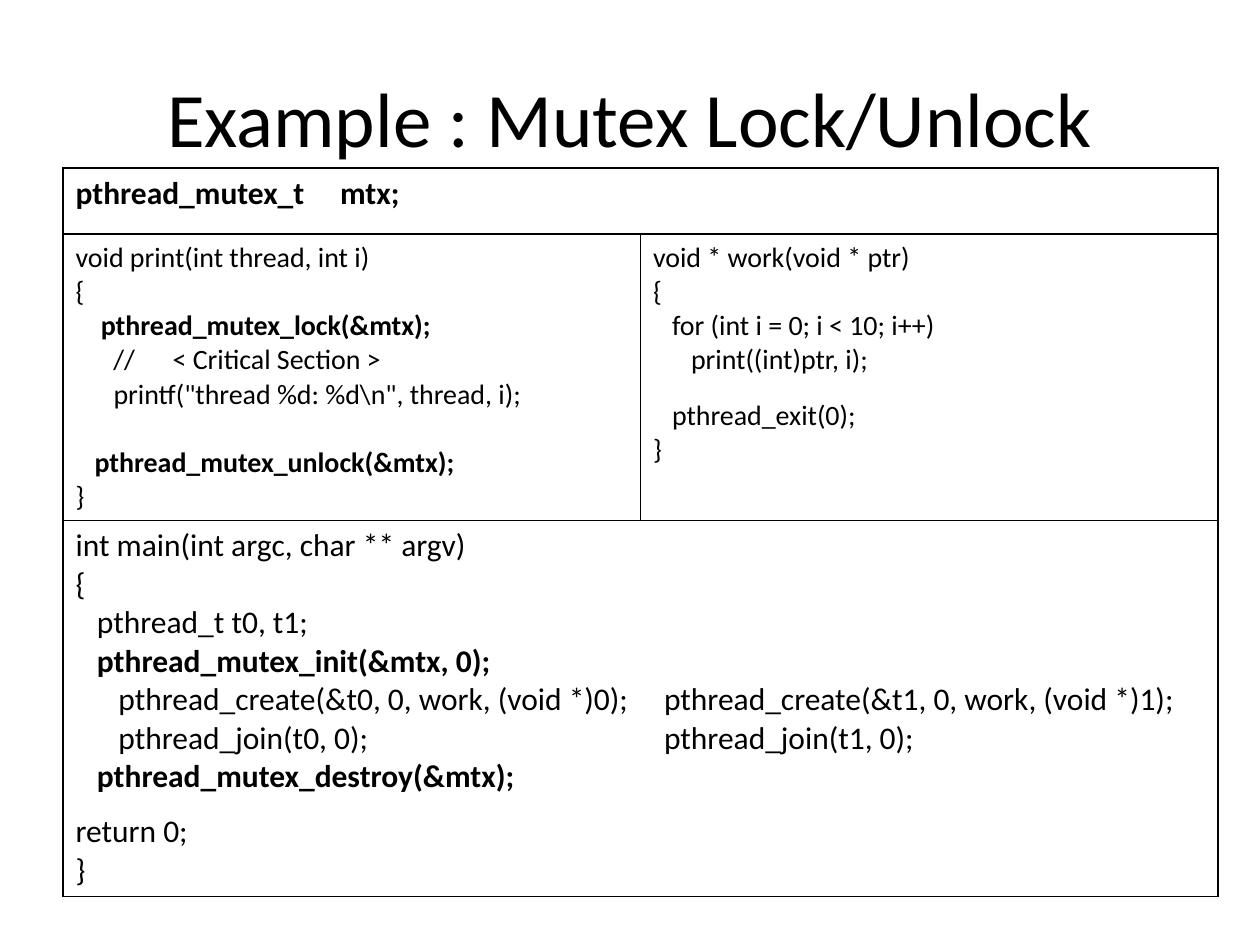
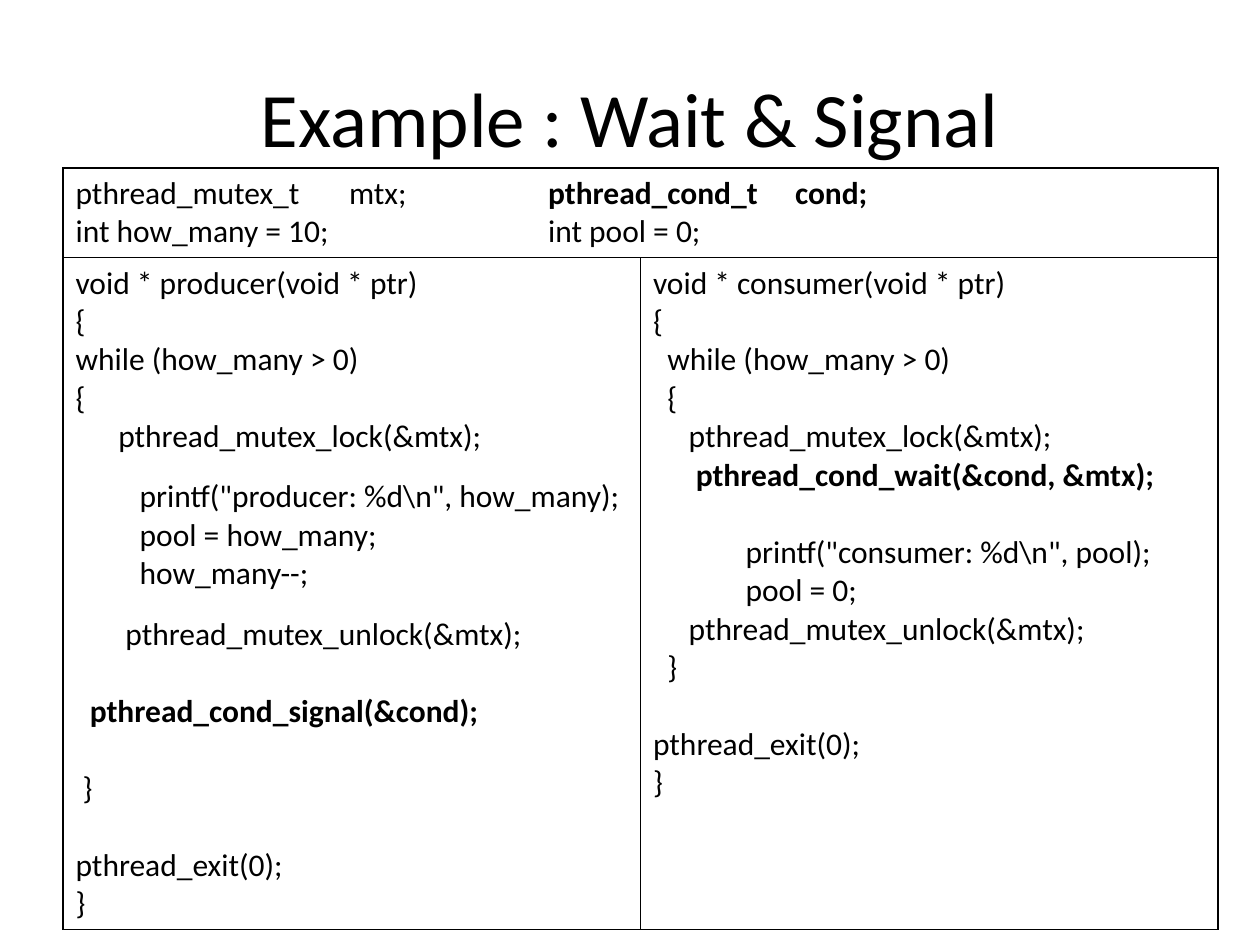
from dataclasses import dataclass

from lxml.etree import SubElement
from pptx import Presentation
from pptx.dml.color import RGBColor
from pptx.enum.text import MSO_ANCHOR, PP_ALIGN
from pptx.oxml.ns import qn
from pptx.util import Inches, Pt

W, H = Inches(10), Inches(7.5)
LEFT, TABLE_TOP, COL_W = W / 20, H * 8 / 45, W * 11 / 24
FONT = "Calibri"
COLORS = {"ink": "000000", "rule": "000000"}
SPACE_EM = 0.226  # width of a space in ems
LINE_EM = 1.22  # height of a line in ems


@dataclass
class Line:
    text: str
    indent: int = 0  # spaces
    bold: bool = False
    gap: float = 0  # size in points of the empty line above
    tabs: tuple[float, ...] = ()  # inches from the cell's text edge
    bold_tail: str = ""


@dataclass
class Code:
    lines: list[Line]
    size: float = 18
    wide: bool = False


@dataclass
class CodeSlide:
    title: str
    row_percents: list[float]  # of the slide's height
    rows: list[list[Code]]


def add_run(p, text: str, *, size: float, bold: bool = False, color: str = "ink") -> None:
    r = p.add_run()
    r.text = text
    r.font.name, r.font.size, r.font.bold = FONT, Pt(size), bold
    r.font.color.rgb = RGBColor.from_string(COLORS[color])


def add_title(s, text: str) -> None:
    sp = s.shapes.add_textbox(int(LEFT), int(0.04 * H), int(0.9 * W), int(H / 6))
    tf = sp.text_frame
    tf.word_wrap = True
    tf.vertical_anchor = MSO_ANCHOR.MIDDLE
    p = tf.paragraphs[0]
    p.alignment = PP_ALIGN.CENTER
    add_run(p, text, size=44)


def write_code(tf, code: Code) -> None:
    for i, line in enumerate(code.lines):
        p = tf.add_paragraph() if i else tf.paragraphs[0]
        p.space_before = Pt(line.gap * LINE_EM)
        pPr = p._p.get_or_add_pPr()
        # An explicit first-line indent makes LibreOffice drop the tab stops
        if line.tabs:
            stops = SubElement(pPr, qn("a:tabLst"))
            for pos in line.tabs:
                SubElement(stops, qn("a:tab"), pos=str(Inches(pos)), algn="l")
        else:
            pPr.set("marL", str(Pt(line.indent * SPACE_EM * code.size)))
            pPr.set("indent", "0")
        add_run(p, line.text, size=code.size, bold=line.bold)
        if line.bold_tail:
            add_run(p, line.bold_tail, size=code.size, bold=True)


def frame_cell(cell) -> None:
    tcPr = cell._tc.get_or_add_tcPr()
    for side in ("lnL", "lnR", "lnT", "lnB"):
        ln = SubElement(tcPr, qn(f"a:{side}"), w=str(Pt(1)))
        SubElement(SubElement(ln, qn("a:solidFill")), qn("a:srgbClr"), val=COLORS["rule"])
    cell.fill.background()


def add_code_table(s, data: CodeSlide) -> None:
    heights = [int(percent * H / 100) for percent in data.row_percents]
    frame = s.shapes.add_table(len(data.rows), 2, int(LEFT), int(TABLE_TOP),
                               int(2 * COL_W), sum(heights))
    table = frame.table
    table.first_row = table.horz_banding = False
    for col in table.columns:
        col.width = int(COL_W)
    for y, (height, codes) in enumerate(zip(heights, data.rows)):
        table.rows[y].height = height
        for x in range(2):
            frame_cell(table.cell(y, x))
        for x, code in enumerate(codes):
            if code.wide:
                table.cell(y, 0).merge(table.cell(y, 1))
            write_code(table.cell(y, x).text_frame, code)


# Tab stops of the paired calls in main()
PAIR = (0.34, 4.67)

SLIDES = [
    CodeSlide("Example : Mutex Lock/Unlock", [7, 30.3, 39.8], [
        [Code([Line("pthread_mutex_t\tmtx;", bold=True, tabs=(2.1,))], wide=True)],
        [Code([
            Line("void print(int thread, int i)"),
            Line("{"),
            Line("pthread_mutex_lock(&mtx);", 4, bold=True),
            Line("\t//\t< Critical Section >", tabs=(0.3, 0.77)),
            Line('printf("thread %d: %d\\n", thread, i);', 6),
            Line("pthread_mutex_unlock(&mtx);", 3, bold=True, gap=16),
            Line("}"),
        ], size=16), Code([
            Line("void * work(void * ptr)"),
            Line("{"),
            Line("for (int i = 0; i < 10; i++)", 3),
            Line("print((int)ptr, i);", 6),
            Line("pthread_exit(0);", 3, gap=10),
            Line("}"),
        ], size=16)],
        [Code([
            Line("int main(int argc, char ** argv)"),
            Line("{"),
            Line("pthread_t t0, t1;", 3),
            Line("pthread_mutex_init(&mtx, 0);", 3, bold=True),
            Line("\tpthread_create(&t0, 0, work, (void *)0);"
                 "\tpthread_create(&t1, 0, work, (void *)1);", tabs=PAIR),
            Line("\tpthread_join(t0, 0);\tpthread_join(t1, 0);", tabs=PAIR),
            Line("pthread_mutex_destroy(&mtx);", 3, bold=True),
            Line("return 0;", gap=8),
            Line("}"),
        ], wide=True)],
    ]),
    CodeSlide("Example : Wait & Signal", [9.5, 71.1], [
        [Code([
            Line("pthread_mutex_t\tmtx;\t", tabs=(2.17, 3.75, 5.71),
                 bold_tail="pthread_cond_t\tcond;"),
            Line("int how_many = 10;\tint pool = 0;", tabs=(3.75,)),
        ], wide=True)],
        [Code([
            Line("void * producer(void * ptr)"),
            Line("{"),
            Line("while (how_many > 0)"),
            Line("{"),
            Line("pthread_mutex_lock(&mtx);", 6),
            Line('printf("producer: %d\\n", how_many);', 9, gap=10),
            Line("pool = how_many;", 9),
            Line("how_many--;", 9),
            Line("pthread_mutex_unlock(&mtx);", 7, gap=10.5),
            Line("pthread_cond_signal(&cond);", 2, bold=True, gap=18),
            Line("}", 1, gap=18),
            Line("pthread_exit(0);", gap=18),
            Line("}"),
        ]), Code([
            Line("void * consumer(void * ptr)"),
            Line("{"),
            Line("while (how_many > 0)", 2),
            Line("{", 2),
            Line("pthread_mutex_lock(&mtx);", 5),
            Line("pthread_cond_wait(&cond, &mtx);", 6, bold=True),
            Line('printf("consumer: %d\\n", pool);', 13, gap=18),
            Line("pool = 0;", 13),
            Line("pthread_mutex_unlock(&mtx);", 5),
            Line("}", 2),
            Line("pthread_exit(0);", gap=18),
            Line("}"),
        ])],
    ]),
]


def main() -> None:
    prs = Presentation()
    prs.slide_width, prs.slide_height = W, H
    for data in SLIDES:
        s = prs.slides.add_slide(prs.slide_layouts[6])
        add_title(s, data.title)
        add_code_table(s, data)
    prs.save("out.pptx")


if __name__ == "__main__":
    main()
